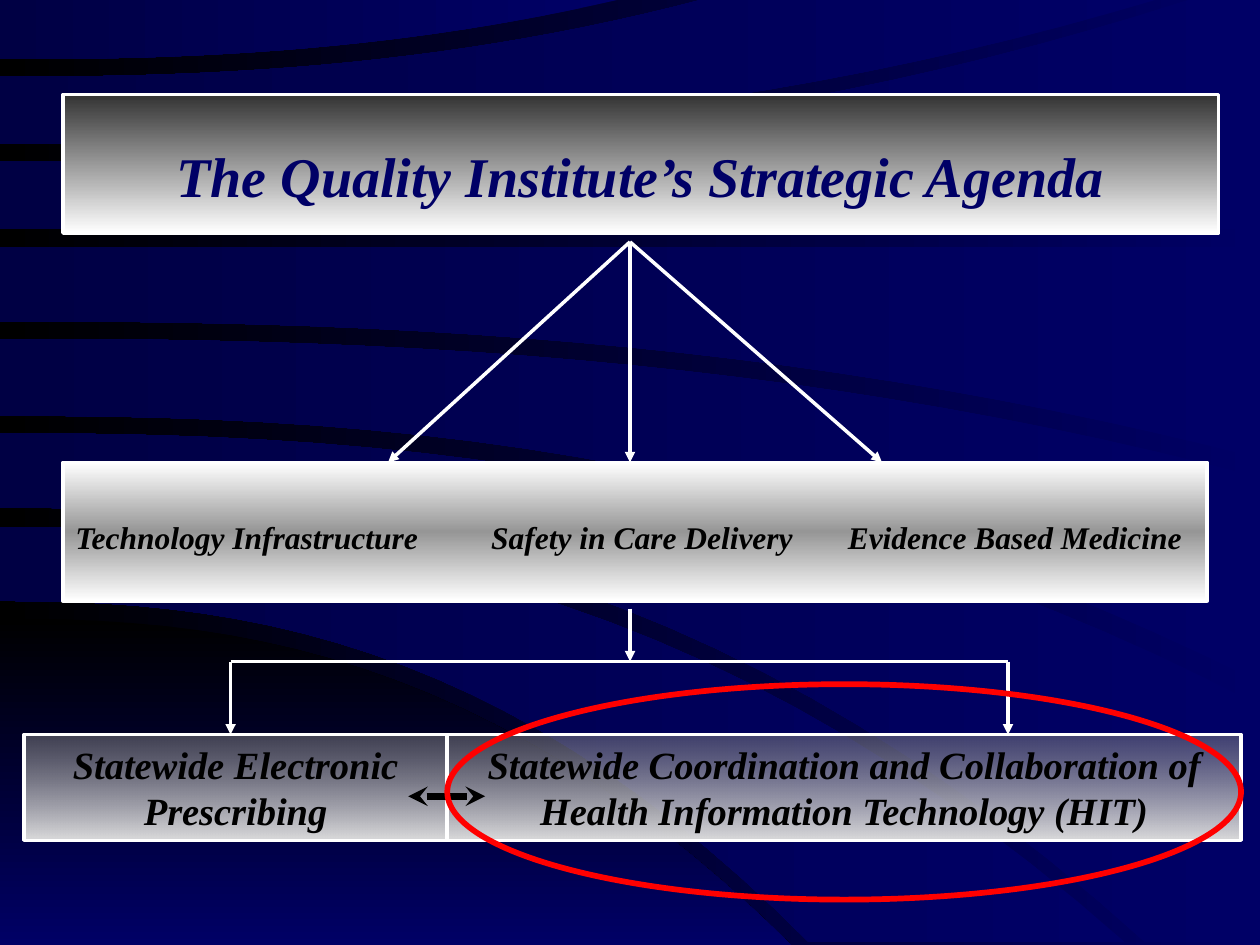
from lxml.etree import SubElement
from pptx import Presentation
from pptx.dml.color import RGBColor
from pptx.enum.shapes import MSO_CONNECTOR, MSO_SHAPE
from pptx.enum.text import MSO_ANCHOR, PP_ALIGN
from pptx.oxml.ns import qn
from pptx.util import Inches, Pt

NAVY = RGBColor(0x00, 0x00, 0x66)
DEEP = RGBColor(0x00, 0x00, 0x44)
BLACK = RGBColor(0x00, 0x00, 0x00)
WHITE = RGBColor(0xFF, 0xFF, 0xFF)
DARK = RGBColor(0x33, 0x33, 0x33)
GREY = RGBColor(0x80, 0x80, 0x80)
STEEL = RGBColor(0x96, 0x96, 0x96)
PALE = RGBColor(0xDD, 0xDD, 0xDD)
RED = RGBColor(0xFF, 0x00, 0x00)


def shade(fill, root, angle, colors, alpha=100):
    fill.gradient()
    fill.gradient_angle = angle
    group = root.find(".//" + qn("a:gsLst"))
    for old in list(group):
        group.remove(old)
    for rank, color in enumerate(colors):
        place = rank * 100000 // (len(colors) - 1)
        stop = SubElement(group, qn("a:gs"), pos=str(place))
        tone = SubElement(stop, qn("a:srgbClr"), val=str(color))
        if rank == 0 and alpha < 100:
            SubElement(tone, qn("a:alpha"), val=str(alpha * 1000))


def dress(box, text, size, color, align, top):
    box.line.color.rgb = WHITE
    box.line.width = Pt(2)
    frame = box.text_frame
    frame.text = text
    frame.word_wrap = True
    frame.vertical_anchor = MSO_ANCHOR.MIDDLE
    frame.margin_left = frame.margin_right = Inches(0.1)
    frame.margin_top, frame.margin_bottom = Inches(top), Inches(0.05)
    line = frame.paragraphs[0]
    line.alignment = align
    for run in line.runs:
        font = run.font
        font.name, font.size = "Times New Roman", Pt(size)
        font.bold = font.italic = True
        font.color.rgb = color


deck = Presentation()
deck.slide_width, deck.slide_height = Inches(10), Inches(7.5)
slide = deck.slides.add_slide(deck.slide_layouts[5])
shapes = slide.shapes
shade(slide.background.fill, slide._element, 180, [NAVY, BLACK])

hill = [(4.91, 6.28, 7.5), (7.5, 6.28, 7.5)]
bands = [
    [(4.18, 8.93, 7.48), (4.77, 6.42, 7.48)],
    [(3.44, 10, 5.6), (4.03, 9.09, 7.48)],
    [(2.69, 10, 3.79), (3.3, 10, 5.42)],
    [(1.96, 10, 1.96), (2.55, 10, 3.64)],
    [(1.28, 9.43, 0), (1.82, 10, 1.82)],
    [(0.61, 5.56, 0), (1.14, 9.17, 0)],
    [(0, 4.9, 0), (0.47, 4.9, 0)],
]
STEPS = 24
for edges in [hill] + bands:
    upper, lower = [
        [(Inches(end * i / STEPS),
          Inches(start + (stop - start) * (i / STEPS) ** 2.4))
         for i in range(STEPS + 1)]
        for start, end, stop in edges]
    near, far = sorted([upper[-1], lower[-1]])
    points = upper + [(far[0], near[1])] + lower[::-1]
    path = shapes.build_freeform(*points[0])
    path.add_line_segments(points[1:])
    curve = path.convert_to_shape()
    curve.shadow.inherit = False
    curve.line.fill.background()
    if edges is hill:
        shade(curve.fill, curve._element, 270, [BLACK, NAVY])
    else:
        shade(curve.fill, curve._element, 180, [NAVY, DEEP])

title = shapes.title
shapes._spTree.append(title._element)
title.left, title.top = Inches(0.5), Inches(0.75)
title.width, title.height = Inches(9.17), Inches(1.1)
shade(title.fill, title._element, 270, [DARK, WHITE])
dress(title, "The Quality Institute’s Strategic Agenda", 32, NAVY,
      PP_ALIGN.CENTER, 0.23)

themes = ["Technology Infrastructure", "Safety in Care Delivery",
          "Evidence Based Medicine"]
row = shapes.add_shape(MSO_SHAPE.RECTANGLE, Inches(0.5), Inches(3.67),
                       Inches(9.08), Inches(1.1))
row.shadow.inherit = False
shade(row.fill, row._element, 270, [WHITE, STEEL, WHITE])
dress(row, "\t".join(themes), 18, BLACK, PP_ALIGN.LEFT, 0.13)
props = row.text_frame.paragraphs[0]._p.get_or_add_pPr()
tabs = SubElement(props, qn("a:tabLst"))
for stop in (3.3, 6.13):
    SubElement(tabs, qn("a:tab"), pos=str(Inches(stop)), algn="l")

goals = [
    (0.19, 3.36, "Statewide Electronic Prescribing"),
    (3.55, 6.3, "Statewide Coordination and Collaboration of "
                "Health Information Technology (HIT)"),
]
for left, width, text in goals:
    box = shapes.add_shape(MSO_SHAPE.RECTANGLE, Inches(left), Inches(5.83),
                           Inches(width), Inches(0.84))
    box.shadow.inherit = False
    shade(box.fill, box._element, 270, [GREY, PALE], 50)
    dress(box, text, 22, BLACK, PP_ALIGN.CENTER, 0.05)

links = [(5, 1.92, x, 3.67, "triangle") for x in (3.08, 5, 7)]
links += [(x, 5.25, x, 5.83, "triangle") for x in (1.83, 8)]
links += [
    (5, 4.83, 5, 5.25, "triangle"),
    (1.83, 5.25, 8, 5.25, None),
    (3.24, 6.32, 3.85, 6.32, "stealth"),
]
for x1, y1, x2, y2, kind in links:
    link = shapes.add_connector(MSO_CONNECTOR.STRAIGHT, Inches(x1), Inches(y1),
                                Inches(x2), Inches(y2))
    both = kind == "stealth"
    link.line.color.rgb = BLACK if both else WHITE
    link.line.width = Pt(3.75 if both else 2)
    stroke = link.line._get_or_add_ln()
    if both:
        SubElement(stroke, qn("a:headEnd"), type=kind)
    if kind:
        SubElement(stroke, qn("a:tailEnd"), type=kind)
    SubElement(link._element.spPr, qn("a:effectLst"))

ring = shapes.add_shape(MSO_SHAPE.OVAL, Inches(3.55), Inches(5.43),
                        Inches(6.3), Inches(1.71))
ring.shadow.inherit = False
ring.fill.background()
ring.line.color.rgb = RED
ring.line.width = Pt(3.25)

deck.save("out.pptx")
